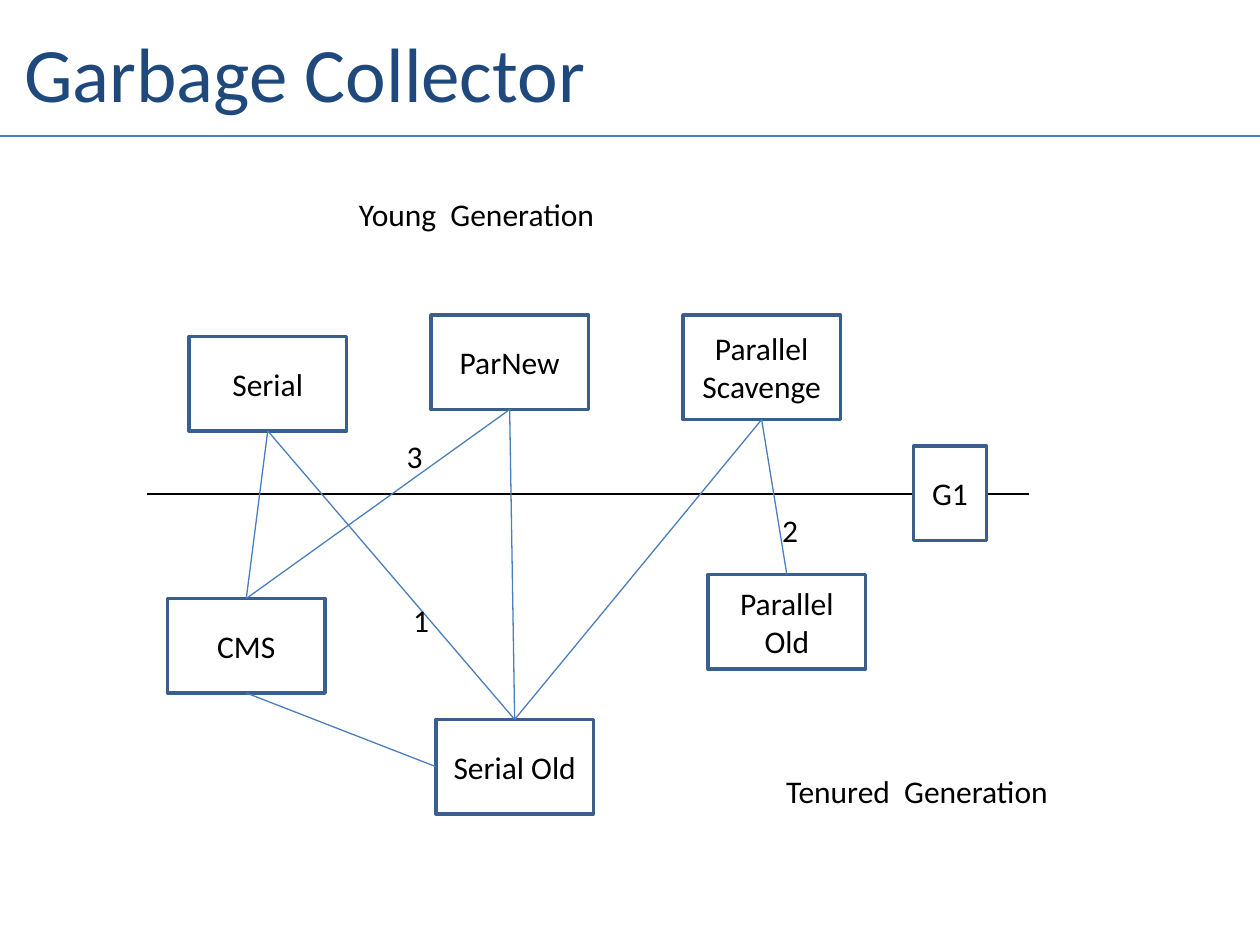
from pptx import Presentation
from pptx.dml.color import RGBColor
from pptx.enum.shapes import MSO_CONNECTOR, MSO_SHAPE
from pptx.enum.text import MSO_ANCHOR, MSO_AUTO_SIZE, PP_ALIGN
from pptx.oxml.ns import qn
from pptx.util import Inches, Pt
from lxml.etree import SubElement

COLORS = {"title": "1F497D", "link": "4B7EBC", "border": "3A5F8C",
          "text": "000000", "box": "FFFFFF"}
FONT = "Calibri"
TITLE = "Garbage Collector"

# text: left, top, width, height
COLLECTORS = {
    "G1": (7.25, 3.54, 0.58, 0.75),
    "ParNew": (3.42, 2.5, 1.25, 0.75),
    "Parallel\nScavenge": (5.42, 2.5, 1.25, 0.83),
    "CMS": (1.33, 4.75, 1.25, 0.75),
    "Serial Old": (3.46, 5.71, 1.25, 0.75),
    "Parallel Old": (5.62, 4.56, 1.25, 0.75),
    "Serial": (1.5, 2.67, 1.25, 0.75),
}
# connection sites of a rectangle
TOP, LEFT, BOTTOM = 0, 1, 2
PAIRINGS = [
    ("Serial", BOTTOM, "CMS", TOP),
    ("Serial", BOTTOM, "Serial Old", TOP),
    ("ParNew", BOTTOM, "CMS", TOP),
    ("ParNew", BOTTOM, "Serial Old", TOP),
    ("Parallel\nScavenge", BOTTOM, "Serial Old", TOP),
    ("Parallel\nScavenge", BOTTOM, "Parallel Old", TOP),
    ("CMS", BOTTOM, "Serial Old", LEFT),
]
# text, left, top, width
LABELS = [
    ("Young  Generation", 2.75, 1.5, 2.67),
    ("Tenured  Generation", 6.14, 6.08, 2.67),
    ("1", 3.18, 4.72, 0.48),
    ("2", 6.11, 4.01, 0.21),
    ("3", 3.13, 3.42, 0.37),
]
LABEL_HEIGHT = 0.4


def rgb(name):
    return RGBColor.from_string(COLORS[name])


def write(shape, text, size=18, color="text", align=PP_ALIGN.LEFT, anchor=MSO_ANCHOR.TOP):
    frame = shape.text_frame
    frame.text = text
    frame.word_wrap = True
    frame.vertical_anchor = anchor
    for paragraph in frame.paragraphs:
        paragraph.alignment = align
        paragraph.font.size = Pt(size)
        paragraph.font.name = FONT
        paragraph.font.color.rgb = rgb(color)


def add_line(slide, start=(0, 0), end=(0, 0), color="link"):
    line = slide.shapes.add_connector(
        MSO_CONNECTOR.STRAIGHT, *(Inches(value) for value in (*start, *end)))
    line.line.color.rgb = rgb(color)
    line.line.width = Pt(0.75)
    SubElement(line._element.spPr, qn("a:effectLst"))
    return line


def add_collector(slide, text, place):
    box = slide.shapes.add_shape(MSO_SHAPE.RECTANGLE, *map(Inches, place))
    box.shadow.inherit = False
    box.fill.solid()
    box.fill.fore_color.rgb = rgb("box")
    box.line.color.rgb = rgb("border")
    box.line.width = Pt(2)
    write(box, text, align=PP_ALIGN.CENTER, anchor=MSO_ANCHOR.MIDDLE)
    return box


def main():
    presentation = Presentation()
    presentation.slide_width, presentation.slide_height = Inches(10), Inches(7.5)
    slide = presentation.slides.add_slide(presentation.slide_layouts[5])

    title = slide.shapes.title
    title.left, title.top = Inches(-2.83), Inches(0)
    title.width, title.height = Inches(10.5), Inches(1.14)
    write(title, TITLE, size=44, color="title",
          align=PP_ALIGN.CENTER, anchor=MSO_ANCHOR.MIDDLE)

    add_line(slide, (0, 1.08), (10, 1.08))
    add_line(slide, (1.17, 3.92), (8.17, 3.92), color="text")

    boxes = {text: add_collector(slide, text, place)
             for text, place in COLLECTORS.items()}
    for young, young_site, old, old_site in PAIRINGS:
        link = add_line(slide)
        link.begin_connect(boxes[young], young_site)
        link.end_connect(boxes[old], old_site)

    for text, left, top, width in LABELS:
        label = slide.shapes.add_textbox(*map(Inches, (left, top, width, LABEL_HEIGHT)))
        write(label, text)
        label.text_frame.auto_size = MSO_AUTO_SIZE.SHAPE_TO_FIT_TEXT

    presentation.save("out.pptx")


if __name__ == "__main__":
    main()
